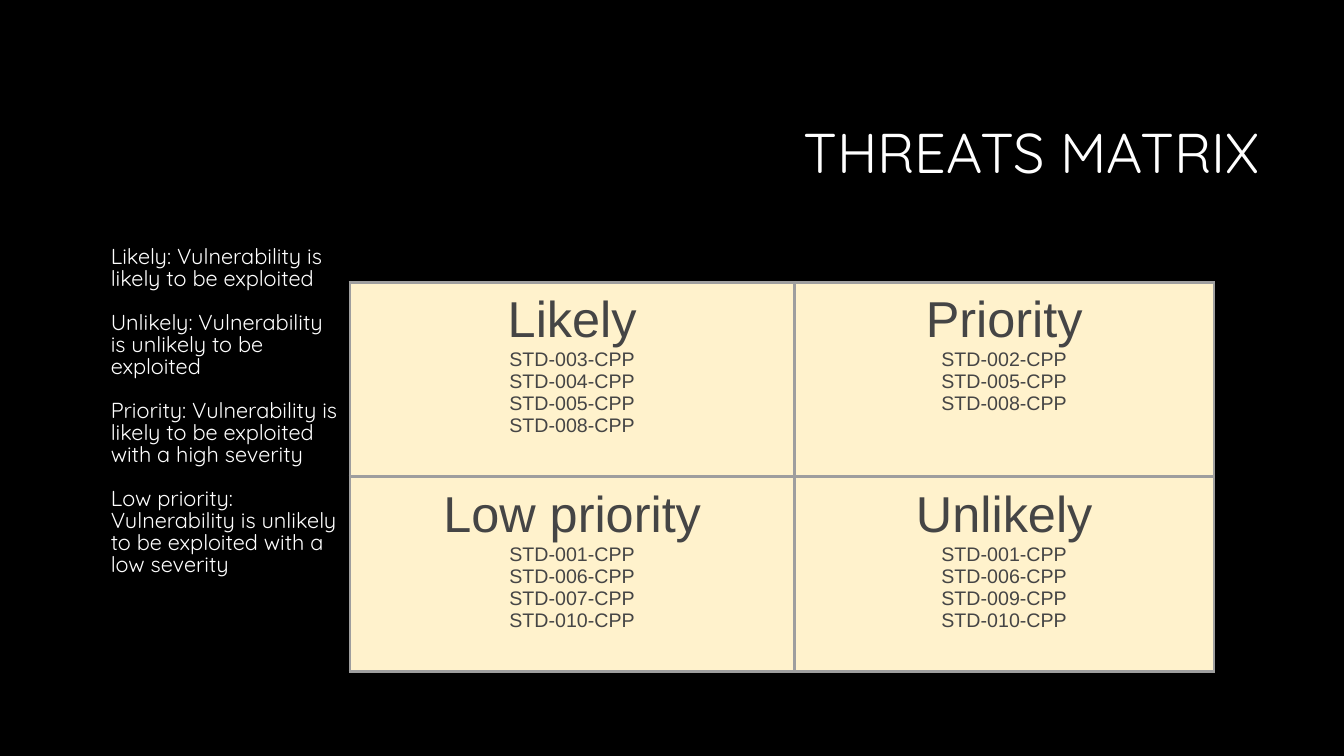
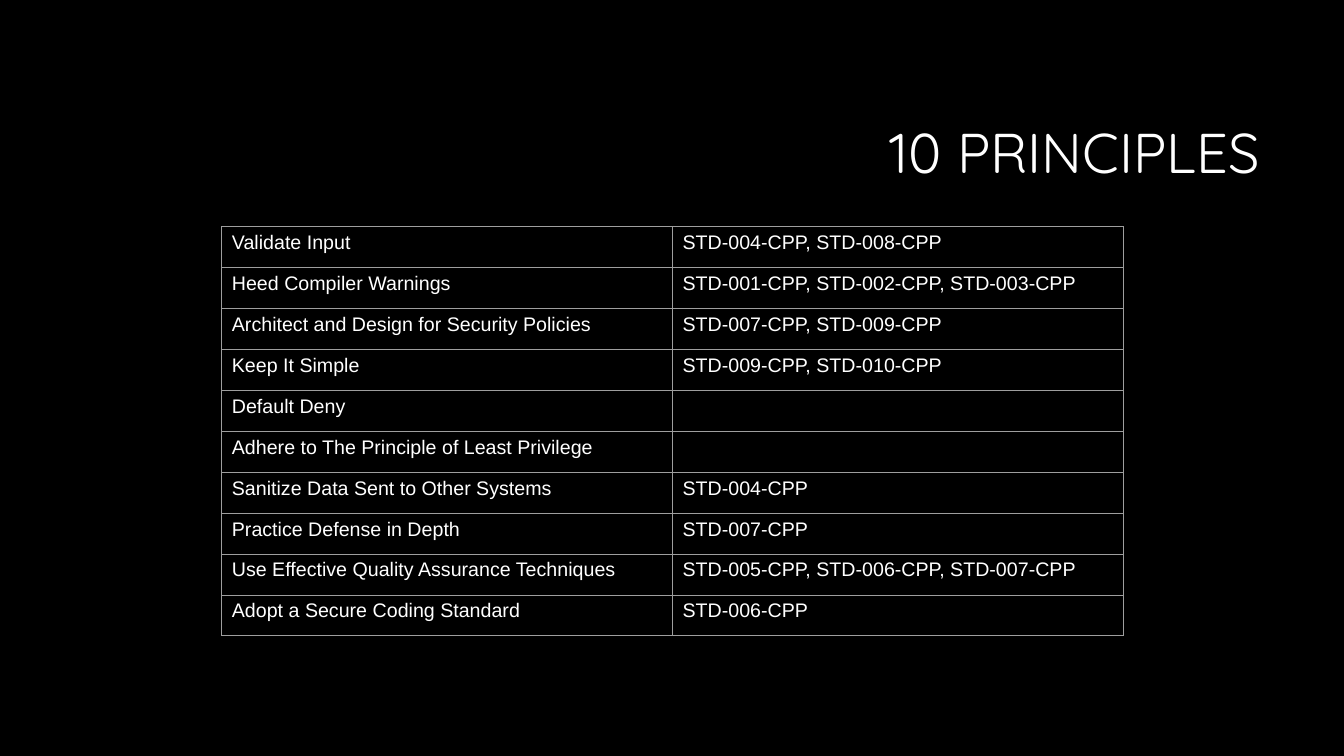
from dataclasses import dataclass

from lxml import etree
from pptx import Presentation
from pptx.dml.color import RGBColor
from pptx.enum.text import MSO_ANCHOR, PP_ALIGN
from pptx.oxml.ns import qn
from pptx.util import Inches, Pt

LEFT, CENTER, RIGHT = PP_ALIGN.LEFT, PP_ALIGN.CENTER, PP_ALIGN.RIGHT
TOP, MIDDLE = MSO_ANCHOR.TOP, MSO_ANCHOR.MIDDLE
BLANK_LAYOUT = 6


@dataclass(frozen=True)
class Theme:
    background: str = "000000"
    light: str = "FFFFFF"
    dark: str = "454545"
    cream: str = "FFF2CC"
    border: str = "9E9E9E"
    display_font: str = "Quicksand"
    table_font: str = "Arial"
    title_size: float = 40
    heading_size: float = 36
    note_size: float = 15.5
    table_size: float = 14


THEME = Theme()

DEFINITIONS = [
    "Likely: Vulnerability is likely to be exploited",
    "Unlikely: Vulnerability is unlikely to be exploited",
    "Priority: Vulnerability is likely to be exploited with a high severity",
    "Low priority: Vulnerability is unlikely to be exploited with a low severity",
]

THREATS = [
    [
        ("Likely", ["003", "004", "005", "008"]),
        ("Priority", ["002", "005", "008"]),
    ],
    [
        ("Low priority", ["001", "006", "007", "010"]),
        ("Unlikely", ["001", "006", "009", "010"]),
    ],
]

PRINCIPLES = [
    ("Validate Input", ["004", "008"]),
    ("Heed Compiler Warnings", ["001", "002", "003"]),
    ("Architect and Design for Security Policies", ["007", "009"]),
    ("Keep It Simple", ["009", "010"]),
    ("Default Deny", []),
    ("Adhere to The Principle of Least Privilege", []),
    ("Sanitize Data Sent to Other Systems", ["004"]),
    ("Practice Defense in Depth", ["007"]),
    ("Use Effective Quality Assurance Techniques", ["005", "006", "007"]),
    ("Adopt a Secure Coding Standard", ["006"]),
]


def standard_names(numbers):
    return [f"STD-{number}-CPP" for number in numbers]


def write(frame, text, *, size, color, font, align=LEFT, spacing=1.0, before=0, indent=0):
    first = frame.paragraphs[0]
    is_first = not first.runs
    para = first if is_first else frame.add_paragraph()
    para.alignment = align
    para.line_spacing = spacing
    para.space_before = Pt(0 if is_first else before)
    if indent:
        properties = para._p.get_or_add_pPr()
        properties.set("marL", str(Inches(indent)))
        properties.set("indent", "0")
    span = para.add_run()
    span.text = text
    span.font.size = Pt(size)
    span.font.name = font
    span.font.color.rgb = RGBColor.from_string(color)


def add_text_box(page, left, top, width, height, anchor=TOP):
    box = page.shapes.add_textbox(Inches(left), Inches(top), Inches(width), Inches(height))
    frame = box.text_frame
    frame.word_wrap = True
    frame.vertical_anchor = anchor
    return frame


def add_page(deck, title):
    page = deck.slides.add_slide(deck.slide_layouts[BLANK_LAYOUT])
    page.background.fill.solid()
    page.background.fill.fore_color.rgb = RGBColor.from_string(THEME.background)
    frame = add_text_box(page, 3.17, 0.84, 9.42, 1.41, MIDDLE)
    write(frame, title, size=THEME.title_size, color=THEME.light,
          font=THEME.display_font, align=RIGHT, spacing=0.9)
    return page


def set_borders(cell, width):
    properties = cell._tc.get_or_add_tcPr()
    for position, side in enumerate(("lnL", "lnR", "lnT", "lnB")):
        line = etree.Element(qn(f"a:{side}"), w=str(Pt(width)))
        fill = etree.SubElement(line, qn("a:solidFill"))
        etree.SubElement(fill, qn("a:srgbClr"), val=THEME.border)
        properties.insert(position, line)


def add_grid(page, left, top, columns, row_height, row_count, border, fill=None):
    shape = page.shapes.add_table(
        row_count, len(columns), Inches(left), Inches(top),
        Inches(sum(columns)), Inches(row_height * row_count))
    table = shape.table
    table.first_row = False
    table.horz_banding = False
    for column, width in zip(table.columns, columns):
        column.width = Inches(width)
    for row in table.rows:
        row.height = Inches(row_height)
    for cell in table.iter_cells():
        if fill:
            cell.fill.solid()
            cell.fill.fore_color.rgb = RGBColor.from_string(fill)
        else:
            cell.fill.background()
        set_borders(cell, border)
    return table


def build_threats(deck):
    page = add_page(deck, "THREATS MATRIX")
    notes = add_text_box(page, 0.75, 2.4, 2.72, 4.4)
    for definition in DEFINITIONS:
        write(notes, definition, size=THEME.note_size, color=THEME.light,
              font=THEME.display_font, spacing=0.84, before=16, indent=0.25)
    table = add_grid(page, 3.47, 2.8, [4.41, 4.16], 1.93, len(THREATS), 2.25, THEME.cream)
    style = {"color": THEME.dark, "font": THEME.table_font, "align": CENTER}
    for row, quadrants in enumerate(THREATS):
        for column, (heading, numbers) in enumerate(quadrants):
            cell = table.cell(row, column)
            cell.margin_top = cell.margin_bottom = Inches(0.1)
            write(cell.text_frame, heading, size=THEME.heading_size, **style)
            for name in standard_names(numbers):
                write(cell.text_frame, name, size=THEME.table_size, **style)


def build_principles(deck):
    page = add_page(deck, "10 PRINCIPLES")
    table = add_grid(page, 2.2, 2.25, [4.47, 4.47], 0.406, len(PRINCIPLES), 0.75)
    for row, (principle, numbers) in enumerate(PRINCIPLES):
        for column, text in enumerate((principle, ", ".join(standard_names(numbers)))):
            if text:
                write(table.cell(row, column).text_frame, text, size=THEME.table_size,
                      color=THEME.light, font=THEME.table_font)


def main():
    deck = Presentation()
    deck.slide_width = Inches(13.33)
    deck.slide_height = Inches(7.5)
    build_threats(deck)
    build_principles(deck)
    deck.save("out.pptx")


if __name__ == "__main__":
    main()
